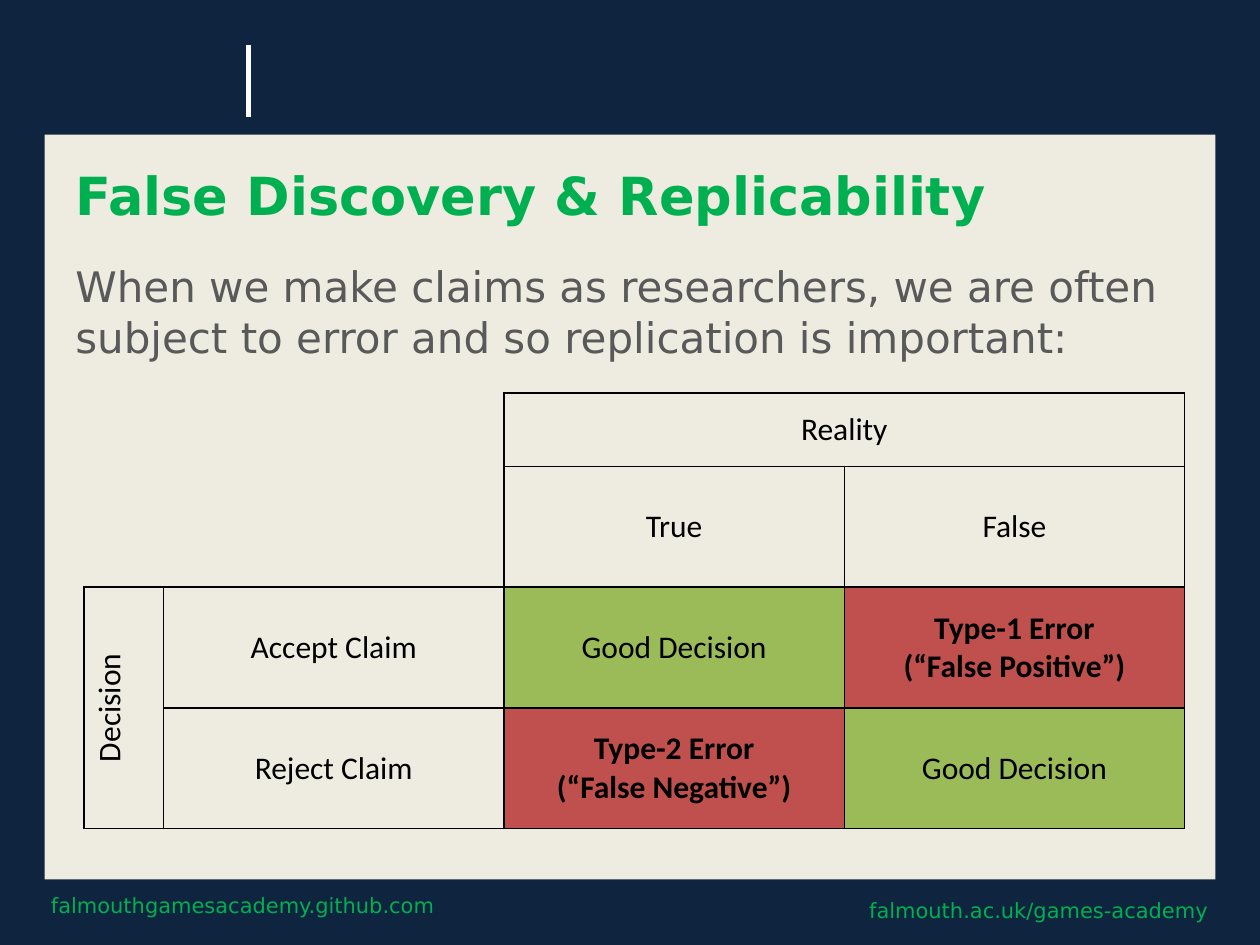
from dataclasses import dataclass
from lxml.etree import SubElement
from pptx import Presentation
from pptx.dml.color import RGBColor
from pptx.enum.shapes import MSO_CONNECTOR, MSO_SHAPE
from pptx.enum.text import MSO_ANCHOR, PP_ALIGN
from pptx.oxml.ns import qn
from pptx.util import Pt


@dataclass(frozen=True)
class Theme:
    navy: str = "0F243E"
    cream: str = "EEECE1"
    white: str = "FFFFFF"
    black: str = "000000"
    grey: str = "595959"
    green: str = "00B050"
    good: str = "9BBB59"
    bad: str = "C0504D"
    face: str = "DejaVu Sans"
    grid: str = "Calibri"
    title: int = 30
    body: int = 24
    cell: int = 18
    foot: int = 12


theme = Theme()


def color(code):
    return RGBColor.from_string(code)


def paint(item, code):
    item.fill.solid()
    item.fill.fore_color.rgb = color(code)


def write(frame, text, size, ink, face=theme.face, bold=False, align=PP_ALIGN.LEFT):
    frame.text = text
    look = {"size": Pt(size), "name": face, "bold": bold}
    for para in frame.paragraphs:
        para.alignment = align
        for key, value in look.items():
            setattr(para.font, key, value)
        para.font.color.rgb = color(ink)
        for run in para.runs:
            for key, value in look.items():
                setattr(run.font, key, value)
            run.font.color.rgb = color(ink)


def add_text(slide, box, text, size, ink, anchor=MSO_ANCHOR.TOP, align=PP_ALIGN.LEFT):
    frame = slide.shapes.add_textbox(*map(Pt, box)).text_frame
    frame.word_wrap = True
    frame.vertical_anchor = anchor
    write(frame, text, size, ink, align=align)


def add_panel(slide, box):
    panel = slide.shapes.add_shape(MSO_SHAPE.RECTANGLE, *map(Pt, box))
    panel.shadow.inherit = False
    paint(panel, theme.cream)
    panel.line.fill.background()


def add_rule(slide, box):
    left, top, width, height = box
    ends = left, top, left + width, top + height
    rule = slide.shapes.add_connector(MSO_CONNECTOR.STRAIGHT, *map(Pt, ends))
    rule.line.width = Pt(2.5)
    rule.line.color.rgb = color(theme.white)
    SubElement(rule._element.spPr, qn("a:effectLst"))


def add_title(slide, box, text):
    title = slide.shapes.title
    for key, value in zip(("left", "top", "width", "height"), box):
        setattr(title, key, Pt(value))
    frame = title.text_frame
    frame.word_wrap = True
    frame.vertical_anchor = MSO_ANCHOR.MIDDLE
    write(frame, text, theme.title, theme.green, bold=True)
    slide.shapes._spTree.append(title._element)  # in front of the panel


def add_foot(slide, box, text, align):
    add_text(slide, box, text, theme.foot, theme.green, MSO_ANCHOR.MIDDLE, align)


def boxed(row, col):
    """Every cell has a frame, save the blank corner of two by two."""
    return row > 1 or col > 1


def border(cell, row, col):
    sides = {"L": (row, col - 1), "R": (row, col + 1),
             "T": (row - 1, col), "B": (row + 1, col)}
    props = cell._tc.get_or_add_tcPr()
    for side, (up, over) in sides.items():
        line = SubElement(props, qn(f"a:ln{side}"), w=str(Pt(1)))
        inside = 0 <= up < 4 and 0 <= over < 4
        if boxed(row, col) or (inside and boxed(up, over)):
            fill = SubElement(line, qn("a:solidFill"))
            SubElement(fill, qn("a:srgbClr"), val=theme.black)
        else:
            SubElement(line, qn("a:noFill"))


def add_matrix(slide, box):
    false_pos = "Type-1 Error\n(“False Positive”)"
    false_neg = "Type-2 Error\v(“False Negative”)"
    right = "Good Decision"
    rows = [["", "", "Reality", ""],
            ["", "", "True", "False"],
            ["Decision", "Accept Claim", right, false_pos],
            ["", "Reject Claim", false_neg, right]]
    fills = {right: theme.good, false_pos: theme.bad, false_neg: theme.bad}
    left, top, width, height = box
    head, side = 42, 45.5
    table = slide.shapes.add_table(4, 4, *map(Pt, box)).table
    for flag in ("first_row", "horz_banding"):
        setattr(table, flag, False)
    for i in range(4):
        table.columns[i].width = Pt(side if i == 0 else (width - side) / 3)
        table.rows[i].height = Pt(head if i == 0 else (height - head) / 3)
    for r, row in enumerate(rows):
        for c, text in enumerate(row):
            cell = table.cell(r, c)
            border(cell, r, c)
            cell.vertical_anchor = MSO_ANCHOR.MIDDLE
            if text in fills:
                paint(cell, fills[text])
            else:
                cell.fill.background()
            if text:
                write(cell.text_frame, text, theme.cell, theme.black, theme.grid,
                      fills.get(text) == theme.bad, PP_ALIGN.CENTER)
    table.cell(0, 2).merge(table.cell(0, 3))
    table.cell(2, 0).merge(table.cell(3, 0))
    table.cell(2, 0)._tc.tcPr.set("vert", "vert270")


def main():
    deck = Presentation()
    deck.slide_width, deck.slide_height = Pt(720), Pt(540)
    slide = deck.slides.add_slide(deck.slide_layouts[5])
    paint(slide.background, theme.navy)
    add_foot(slide, (473, 505.5, 224.5, 29), "falmouth.ac.uk/games-academy", PP_ALIGN.RIGHT)
    add_foot(slide, (22, 502.5, 276, 29), "falmouthgamesacademy.github.com", PP_ALIGN.LEFT)
    add_rule(slide, (142, 26, 0, 41))
    add_panel(slide, (25.5, 77, 669, 425.5))
    add_title(slide, (36, 88.5, 648, 45.5), "False Discovery & Replicability")
    add_text(slide, (36, 145.5, 648, 70),
             "When we make claims as researchers, we are often subject to error "
             "and so replication is important:", theme.body, theme.grey)
    add_matrix(slide, (48, 224.5, 629, 249))
    deck.save("out.pptx")


if __name__ == "__main__":
    main()
